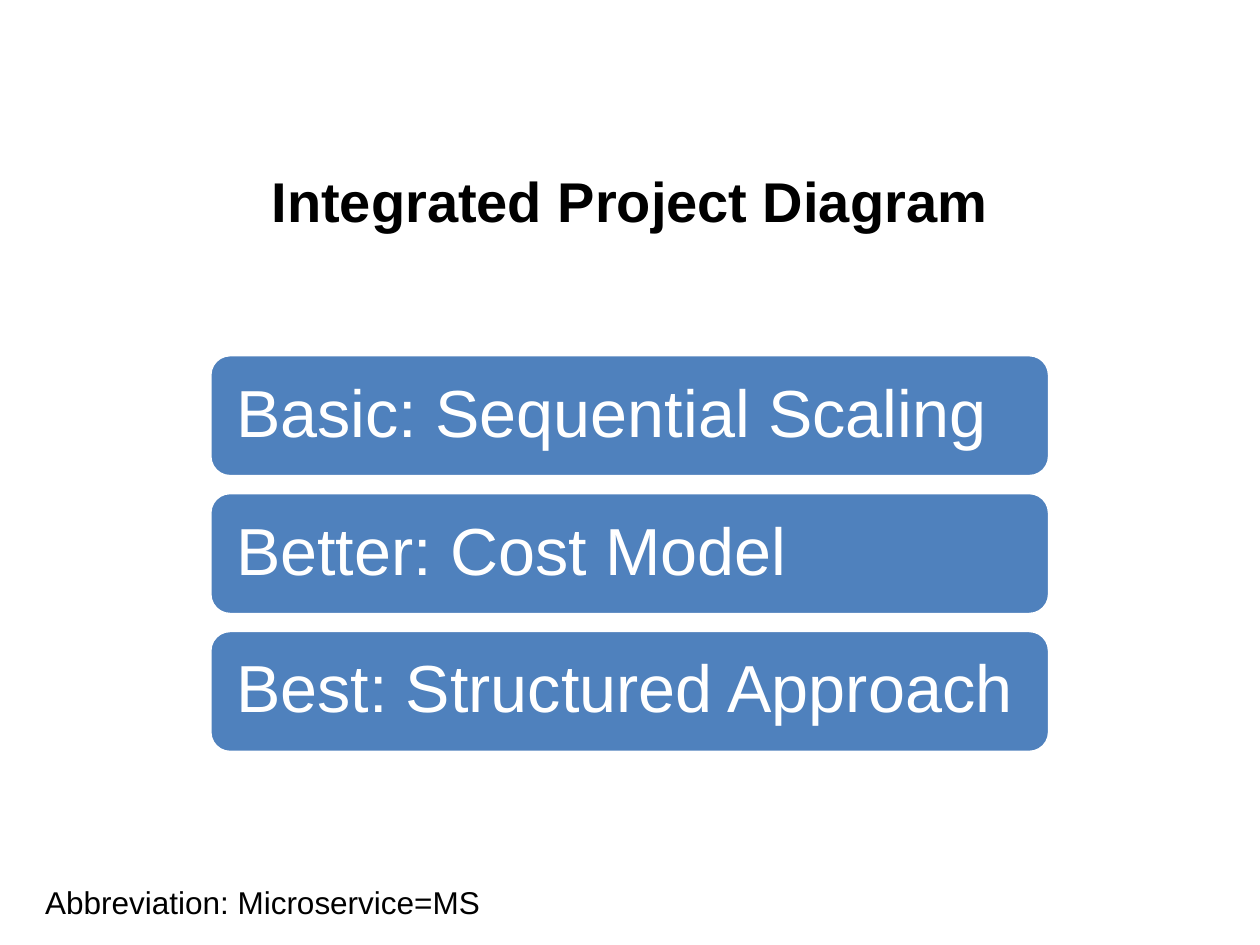
import pptx
import pptx.util
import pptx.dml.color
import pptx.enum.shapes
import pptx.enum.text

Cm = pptx.util.Cm
Pt = pptx.util.Pt
ALIGN = pptx.enum.text.PP_ALIGN
ANCHOR = pptx.enum.text.MSO_ANCHOR

TITLE = "Integrated Project Diagram"
LEVELS = ["Basic: Sequential Scaling", "Better: Cost Model", "Best: Structured Approach"]
ABBREVIATION = "Abbreviation: Microservice=MS"
COLOURS = {"text": "000000", "bar": "4F81BD", "white": "FFFFFF"}
BAR_LEFT, BAR_TOP, BAR_WIDTH, BAR_HEIGHT = 4.23, 7.15, 16.93, 2.46
BAR_STEP = 2.78
BAR_INSET = 0.41


def colour(name):
    return pptx.dml.color.RGBColor.from_string(COLOURS[name])


def write(frame, text, size, colour_name, align, anchor, bold=False):
    frame.word_wrap = True
    frame.vertical_anchor = anchor
    frame.text = text
    para = frame.paragraphs[0]
    para.alignment = align
    para.font.name = "Arial"
    para.font.size = Pt(size)
    para.font.bold = bold
    para.font.color.rgb = colour(colour_name)
    return para


deck = pptx.Presentation()
deck.slide_width, deck.slide_height = Cm(25.4), Cm(19.05)
page = deck.slides.add_slide(deck.slide_layouts[5])

title = page.shapes.title
title.left, title.top, title.width, title.height = Cm(1.27), Cm(2.92), Cm(22.86), Cm(2.24)
write(title.text_frame, TITLE, 32, "text", ALIGN.CENTER, ANCHOR.MIDDLE, bold=True)

for index, level in enumerate(LEVELS):
    bar = page.shapes.add_shape(
        pptx.enum.shapes.MSO_SHAPE.ROUNDED_RECTANGLE,
        Cm(BAR_LEFT), Cm(BAR_TOP + index * BAR_STEP), Cm(BAR_WIDTH), Cm(BAR_HEIGHT))
    bar.shadow.inherit = False
    bar.fill.solid()
    bar.fill.fore_color.rgb = colour("bar")
    bar.line.color.rgb = colour("white")
    bar.line.width = Pt(2)
    frame = bar.text_frame
    frame.margin_left = frame.margin_right = Cm(BAR_INSET)
    frame.margin_top = frame.margin_bottom = Cm(BAR_INSET)
    para = write(frame, level, 38, "white", ALIGN.LEFT, ANCHOR.MIDDLE)
    para.line_spacing = 0.9

note = page.shapes.add_textbox(Cm(0.66), Cm(17.68), Cm(13.64), Cm(1.02))
write(note.text_frame, ABBREVIATION, 18, "text", ALIGN.LEFT, ANCHOR.TOP)

deck.save("out.pptx")
